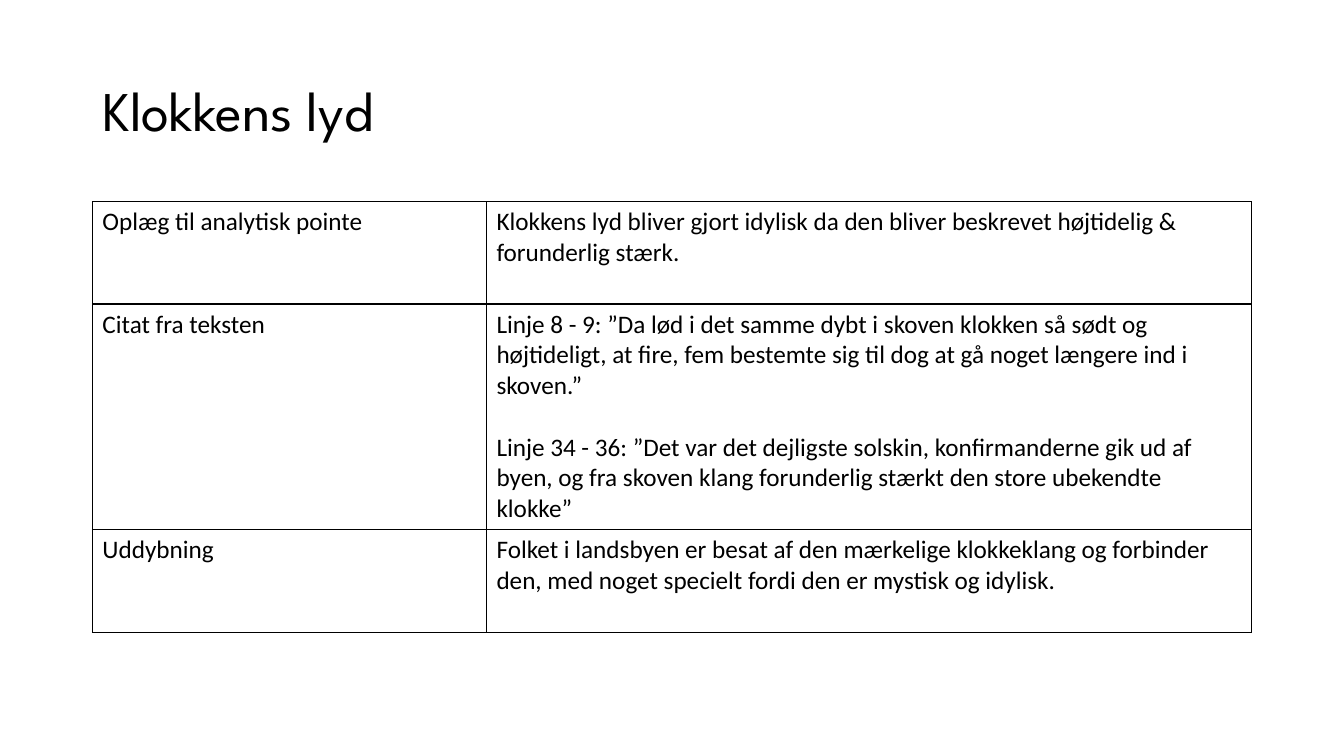
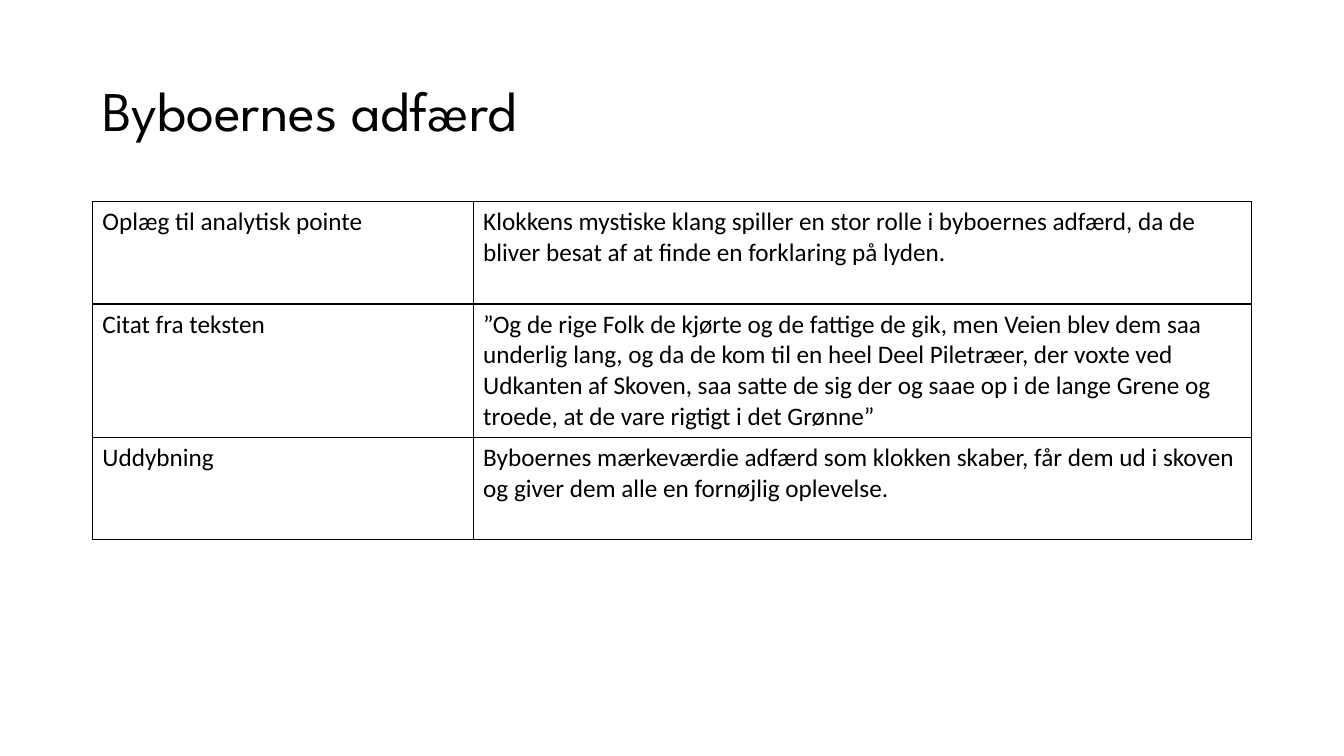
from lxml import etree
from pptx import Presentation
from pptx.dml.color import RGBColor
from pptx.enum import text
from pptx.oxml import ns
from pptx.util import Pt

# Shared style
BLACK = RGBColor(0x00, 0x00, 0x00)
TITLE_FONT, TITLE_SIZE = "League Spartan", Pt(40)
BODY_FONT, BODY_SIZE = "Calibri", Pt(18)
LINE_HEIGHT = Pt(22)
BORDER_WIDTH = Pt(1)

# Shared layout
SLIDE_WIDTH, SLIDE_HEIGHT = Pt(960), Pt(540)
TITLE_BOX = (Pt(66), Pt(28.75), Pt(828), Pt(104.4))
TABLE_LEFT, TABLE_TOP, TABLE_WIDTH = Pt(66), Pt(144), Pt(828)
ROW_LABELS = ("Oplæg til analytisk pointe", "Citat fra teksten", "Uddybning")
SHORT_ROW = Pt(73.2)

# Each slide: title, width of the label column, height of the quote row,
# and the paragraphs that answer each label
SLIDES = [
    ("Klokkens lyd", Pt(281.5), Pt(161.2), [
        ["Klokkens lyd bliver gjort idylisk da den bliver beskrevet højtidelig & forunderlig stærk."],
        ["Linje 8 - 9: ”Da lød i det samme dybt i skoven klokken så sødt og højtideligt, "
         "at fire, fem bestemte sig til dog at gå noget længere ind i skoven.”",
         "Linje 34 - 36: ”Det var det dejligste solskin, konfirmanderne gik ud af byen, "
         "og fra skoven klang forunderlig stærkt den store ubekendte klokke”"],
        ["Folket i landsbyen er besat af den mærkelige klokkeklang og forbinder den, "
         "med noget specielt fordi den er mystisk og idylisk."],
    ]),
    ("Byboernes adfærd", Pt(272), Pt(95.2), [
        ["Klokkens mystiske klang spiller en stor rolle i byboernes adfærd, "
         "da de bliver besat af at finde en forklaring på lyden."],
        ["”Og de rige Folk de kjørte og de fattige de gik, men Veien blev dem saa underlig lang, "
         "og da de kom til en heel Deel Piletræer, der voxte ved Udkanten af Skoven, "
         "saa satte de sig der og saae op i de lange Grene og troede, "
         "at de vare rigtigt i det Grønne”"],
        ["Byboernes mærkeværdie adfærd som klokken skaber, får dem ud i skoven "
         "og giver dem alle en fornøjlig oplevelse."],
    ]),
]


def style_font(paragraph, name, size):
    font = paragraph.font
    font.name, font.size, font.bold = name, size, False
    font.color.rgb = BLACK


def add_title(slide, box, title):
    frame = slide.shapes.add_textbox(*box).text_frame
    frame.word_wrap = True
    frame.vertical_anchor = text.MSO_ANCHOR.MIDDLE
    paragraph = frame.paragraphs[0]
    paragraph.text = title
    paragraph.line_spacing = 0.9
    style_font(paragraph, TITLE_FONT, TITLE_SIZE)


def set_borders(cell):
    properties = cell._tc.get_or_add_tcPr()
    for side in ("a:lnL", "a:lnR", "a:lnT", "a:lnB"):
        line = etree.SubElement(properties, ns.qn(side), w=str(BORDER_WIDTH))
        fill = etree.SubElement(line, ns.qn("a:solidFill"))
        etree.SubElement(fill, ns.qn("a:srgbClr"), val=str(BLACK))


def fill_cell(cell, paragraphs):
    set_borders(cell)
    cell.fill.background()
    frame = cell.text_frame
    frame.text = "\n".join(paragraphs)
    for index, paragraph in enumerate(frame.paragraphs):
        style_font(paragraph, BODY_FONT, BODY_SIZE)
        if index:
            paragraph.space_before = LINE_HEIGHT


def add_analysis_table(slide, left, top, width, label_width, quote_height, answers):
    heights = (SHORT_ROW, quote_height, SHORT_ROW)
    frame = slide.shapes.add_table(len(heights), 2, left, top, width, sum(heights))
    table = frame.table
    table.first_row = table.horz_banding = False
    table.columns[0].width = label_width
    table.columns[1].width = width - label_width
    for row, height, label, answer in zip(table.rows, heights, ROW_LABELS, answers):
        row.height = height
        fill_cell(row.cells[0], [label])
        fill_cell(row.cells[1], answer)


def add_analysis_slide(presentation, title, label_width, quote_height, answers):
    slide = presentation.slides.add_slide(presentation.slide_layouts[6])
    add_title(slide, TITLE_BOX, title)
    add_analysis_table(slide, TABLE_LEFT, TABLE_TOP, TABLE_WIDTH,
                       label_width, quote_height, answers)


def main():
    presentation = Presentation()
    presentation.slide_width, presentation.slide_height = SLIDE_WIDTH, SLIDE_HEIGHT
    for content in SLIDES:
        add_analysis_slide(presentation, *content)
    presentation.save("out.pptx")


if __name__ == "__main__":
    main()
